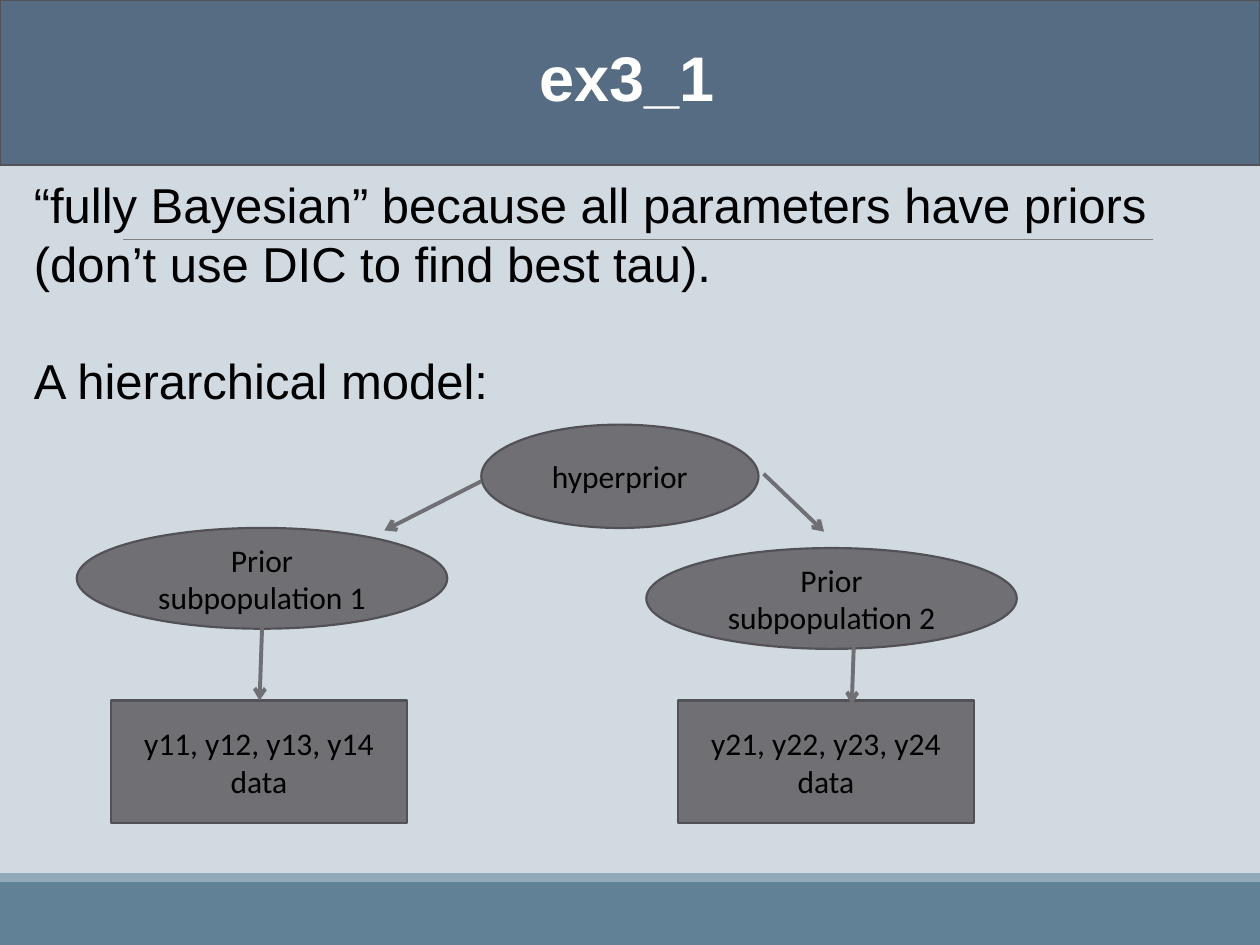
from pptx import Presentation
from pptx.dml.color import RGBColor
from pptx.enum import shapes, text
from pptx.oxml import ns
from pptx.util import Inches, Pt
from lxml import etree

BACKGROUND = RGBColor(0xD1, 0xD9, 0xE1)
FOOTER = RGBColor(0x61, 0x81, 0x97)
STRIPE = RGBColor(0x92, 0xA9, 0xB9)
RULE = RGBColor(0x80, 0x80, 0x80)
BANNER = RGBColor(0x56, 0x6C, 0x83)
OUTLINE = RGBColor(0x52, 0x52, 0x56)
NODE = RGBColor(0x6F, 0x6F, 0x74)
WHITE = RGBColor(0xFF, 0xFF, 0xFF)
BLACK = RGBColor(0, 0, 0)

RECT = shapes.MSO_SHAPE.RECTANGLE
OVAL = shapes.MSO_SHAPE.OVAL

TITLE = "ex3_1"
BODY = [
    "“fully Bayesian” because all parameters have priors (don’t use DIC to find best tau).",
    "A hierarchical model:",
]
BANDS = [
    ((0, 7, 10, 0.5), FOOTER, None),
    ((0, 6.93, 10, 0.07), STRIPE, None),
    ((0, 0, 10, 1.31), BANNER, OUTLINE),
]
NODES = [
    (OVAL, (3.82, 3.37, 2.2, 0.82), "hyperprior"),
    (OVAL, (0.61, 4.19, 2.94, 0.8), "Prior subpopulation 1"),
    (OVAL, (5.13, 4.35, 2.94, 0.8), "Prior subpopulation 2"),
    (RECT, (0.88, 5.56, 2.35, 0.97), "y11, y12, y13, y14\ndata"),
    (RECT, (5.38, 5.56, 2.35, 0.97), "y21, y22, y23, y24\ndata"),
]
ARROWS = [
    (6.06, 3.76, 6.54, 4.22),
    (3.82, 3.82, 3.05, 4.21),
    (2.08, 4.98, 2.06, 5.56),
    (6.78, 5.02, 6.76, 5.59),
]


def add_block(s, kind, box, fill, line):
    sp = s.shapes.add_shape(kind, *map(Inches, box))
    sp.shadow.inherit = False
    sp.fill.solid()
    sp.fill.fore_color.rgb = fill
    if line is None:
        sp.line.fill.background()
    else:
        sp.line.color.rgb = line
        sp.line.width = Pt(1.25)
    return sp


def add_line(s, ends, color, width, arrow=False):
    c = s.shapes.add_connector(shapes.MSO_CONNECTOR.STRAIGHT, *map(Inches, ends))
    c.line.color.rgb = color
    c.line.width = Pt(width)
    if arrow:
        etree.SubElement(c.line._get_or_add_ln(), ns.qn("a:tailEnd"), type="arrow")
    etree.SubElement(c.element.spPr, ns.qn("a:effectLst"))


def write(tf, content, font, size, color, align, spacing=None, bold=False):
    tf.text = content
    tf.word_wrap = True
    for p in tf.paragraphs:
        p.alignment = align
        if spacing:
            p.line_spacing = Pt(spacing)
        for r in p.runs:
            r.font.name = font
            r.font.size = Pt(size)
            r.font.bold = bold
            r.font.color.rgb = color


def main():
    prs = Presentation()
    prs.slide_width, prs.slide_height = Inches(10), Inches(7.5)
    s = prs.slides.add_slide(prs.slide_layouts[5])
    s.background.fill.solid()
    s.background.fill.fore_color.rgb = BACKGROUND

    add_line(s, (0.98, 1.9, 9.15, 1.9), RULE, 0.5)
    for box, fill, line in BANDS:
        band = add_block(s, RECT, box, fill, line)

    title = s.shapes.title
    band.element.addnext(title.element)
    title.left, title.top, title.width, title.height = map(Inches, (0.17, 0.26, 9.62, 0.71))
    write(title.text_frame, TITLE, "Arial", 36, WHITE, text.PP_ALIGN.CENTER, 43, True)
    title.text_frame.vertical_anchor = text.MSO_ANCHOR.TOP
    title.text_frame.auto_size = text.MSO_AUTO_SIZE.NONE

    body = s.shapes.add_textbox(*map(Inches, (0.17, 1.34, 9.62, 1.99))).text_frame
    write(body, "\n".join(BODY), "Arial", 28, BLACK, text.PP_ALIGN.LEFT, 33.5)
    body.paragraphs[1].space_before = Pt(33.5)

    for kind, box, label in NODES:
        tf = add_block(s, kind, box, NODE, OUTLINE).text_frame
        write(tf, label, "Calibri", 18, BLACK, text.PP_ALIGN.CENTER)
        tf.vertical_anchor = text.MSO_ANCHOR.MIDDLE

    for ends in ARROWS:
        add_line(s, ends, NODE, 2.25, arrow=True)

    prs.save("out.pptx")


if __name__ == "__main__":
    main()
